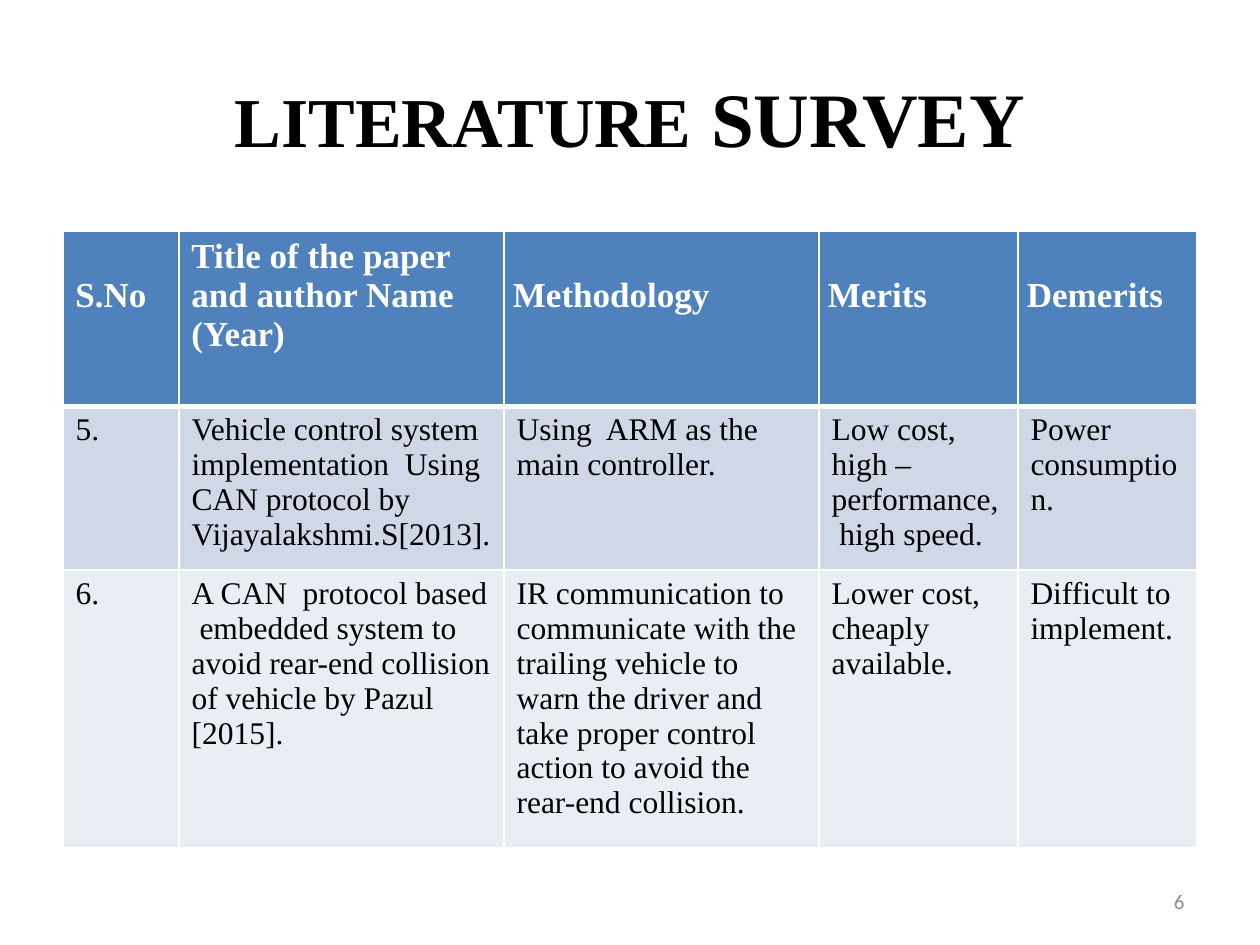
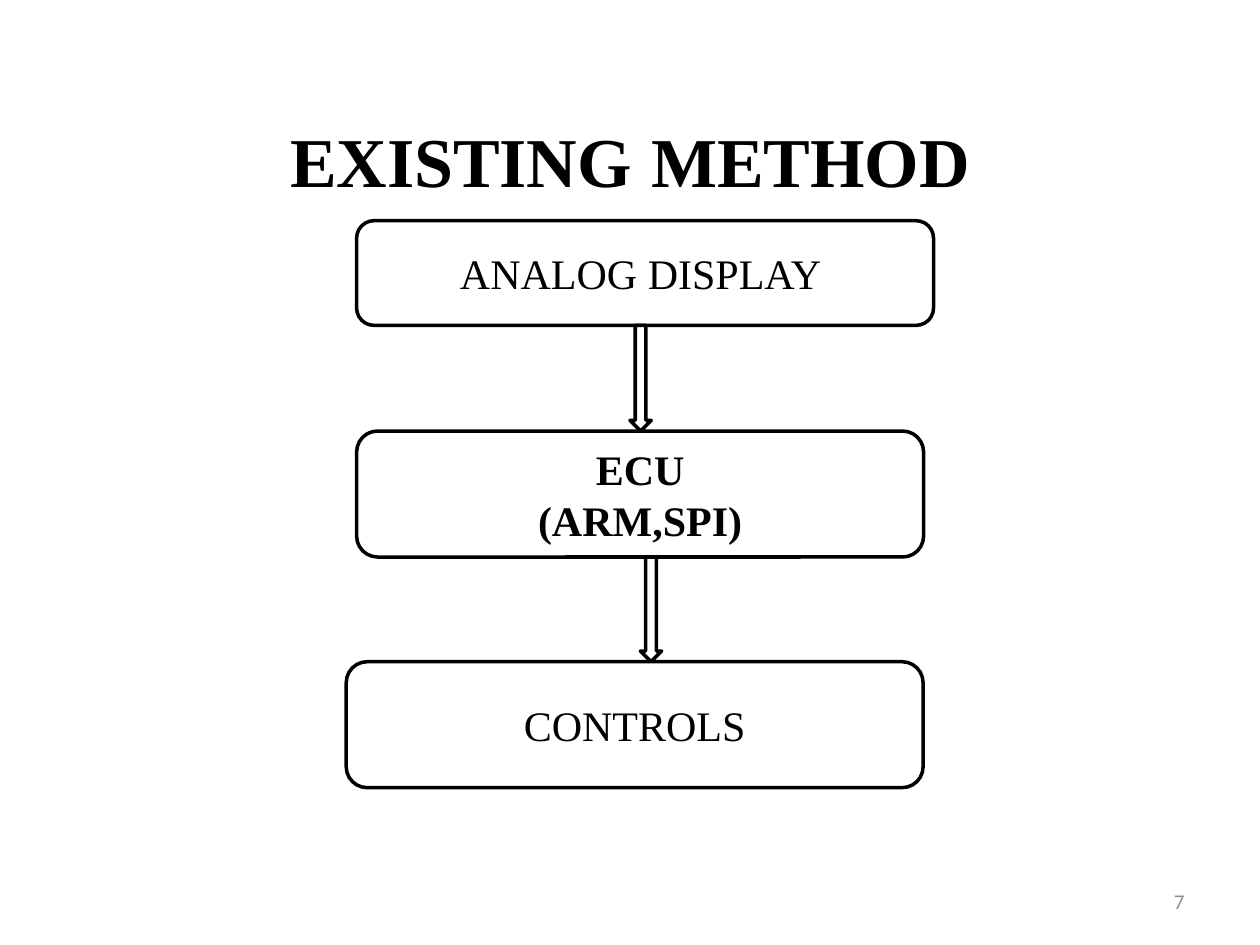
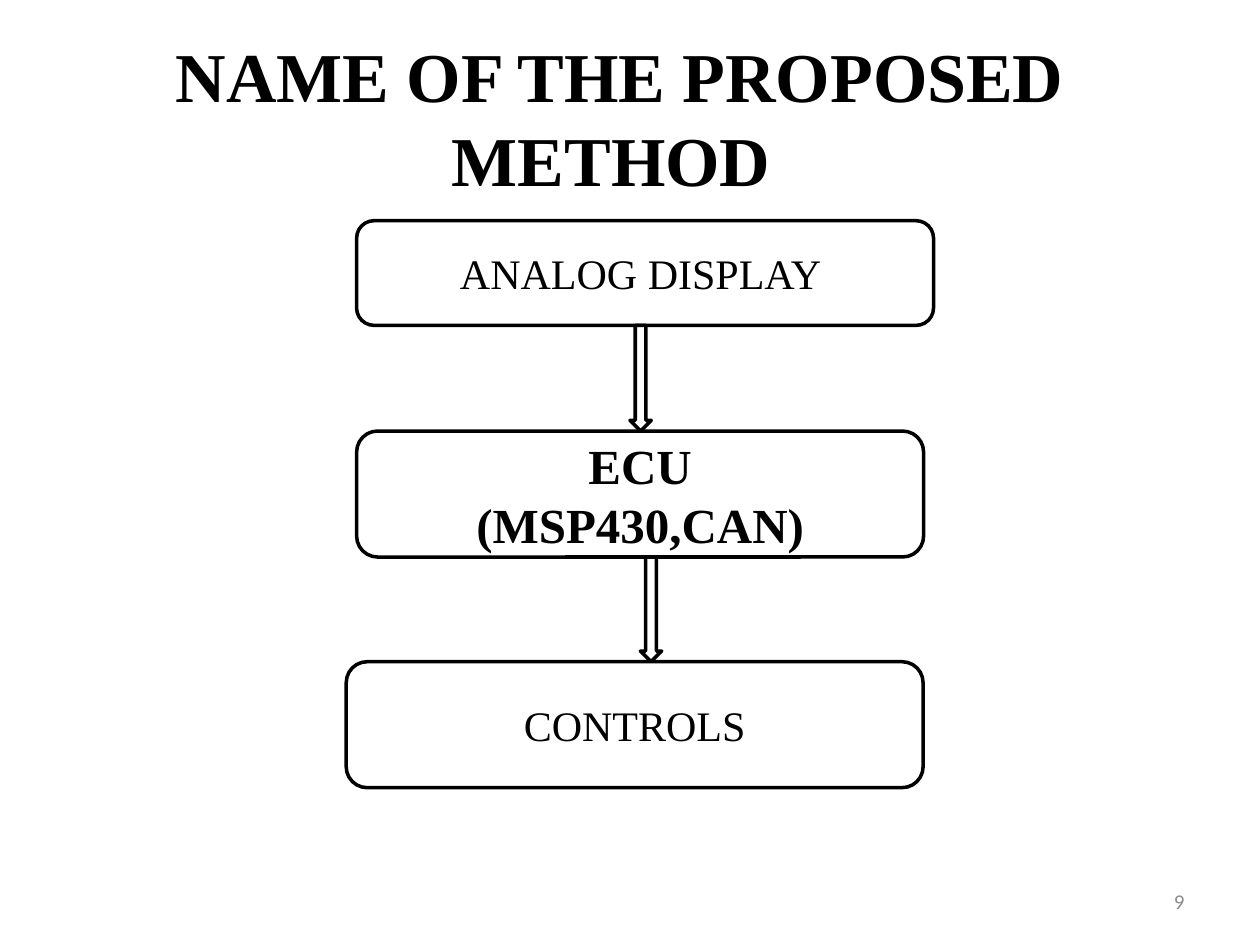
from dataclasses import dataclass
from itertools import pairwise

from lxml.etree import SubElement
from pptx import Presentation
from pptx.dml.color import RGBColor
from pptx.enum.shapes import MSO_SHAPE as Preset
from pptx.enum.text import MSO_ANCHOR as Anchor, PP_ALIGN as Align
from pptx.oxml.ns import qn
from pptx.util import Cm, Pt


@dataclass(frozen=True)
class Theme:
    serif: str = "Times New Roman"
    sans: str = "Calibri"
    ink: str = "000000"
    paper: str = "FFFFFF"
    muted: str = "8C8C8C"
    header: str = "4F81BD"
    bands: tuple = ("D0D8E8", "E9EDF4")
    title: int = 40
    title_large: int = 44
    box: int = 24
    box_large: int = 28
    table_head: int = 20
    table_body: int = 18
    number: int = 12
    outline: int = 2


THEME = Theme()

COLUMN_WIDTHS = (2.34, 6.55, 6.35, 4.01, 3.61)
ROW_HEIGHTS = (3.53, 3.2, 5.41)
HEAD_TOP_MARGINS = (0.91, 0.13, 0.91, 0.91, 0.91)
HEAD_LEFT_MARGINS = (0.25, 0.25, 0.18, 0.18, 0.18)
SURVEY = (
    ("S.No", "Title of the paper and author Name (Year)", "Methodology", "Merits", "Demerits"),
    (
        "5.",
        "Vehicle control system implementation  Using  CAN protocol by Vijayalakshmi.S[2013].",
        "Using  ARM as the main controller.",
        "Low cost, high –performance,  high speed.",
        "Power consumption.",
    ),
    (
        "6.",
        "A CAN  protocol based  embedded system to avoid rear-end collision of vehicle by Pazul [2015].",
        "IR communication to communicate with the trailing vehicle to warn the driver and take "
        "proper control action to avoid the rear-end collision.",
        "Lower cost, cheaply available.",
        "Difficult to implement.",
    ),
)

FLOW_BOXES = (
    (7.19, 4.45, 11.63, 2.11),
    (7.19, 8.69, 11.43, 2.54),
    (6.98, 13.34, 11.63, 2.54),
)
ARROW_LEFTS = (12.7, 12.91)
ARROW_WIDTH = 0.43


def format_run(run, size, color=THEME.ink, bold=False, font=THEME.serif):
    """Set the typeface, size, colour and weight of a run."""
    run.font.name = font
    run.font.size = Pt(size)
    run.font.bold = bold
    run.font.color.rgb = RGBColor.from_string(color)


def format_text(text_frame, size, align, **style):
    """Align every paragraph and format its runs alike."""
    text_frame.word_wrap = True
    for paragraph in text_frame.paragraphs:
        paragraph.alignment = align
        for run in paragraph.runs:
            format_run(run, size, **style)


def add_text_box(slide, box, anchor=Anchor.MIDDLE):
    """Add a wrapping text box and return its text frame."""
    text_frame = slide.shapes.add_textbox(*map(Cm, box)).text_frame
    text_frame.word_wrap = True
    text_frame.vertical_anchor = anchor
    return text_frame


def add_title(slide, parts, left=1.27, width=22.86, height=3.18, anchor=Anchor.MIDDLE):
    """Add the bold centred title from (text, size) parts."""
    text_frame = add_text_box(slide, (left, 0.76, width, height), anchor)
    paragraph = text_frame.paragraphs[0]
    paragraph.alignment = Align.CENTER
    for text, size in parts:
        run = paragraph.add_run()
        run.text = text
        format_run(run, size, bold=True)


def add_slide_number(slide, number):
    """Add the grey slide number at the lower right."""
    text_frame = add_text_box(slide, (18.21, 17.65, 5.92, 1.02))
    text_frame.text = str(number)
    format_text(text_frame, THEME.number, Align.RIGHT, color=THEME.muted, font=THEME.sans)


def set_borders(cell, bottom):
    """Draw white borders round a cell, with a given bottom width."""
    properties = cell._tc.get_or_add_tcPr()
    for side, width in (("L", 1), ("R", 1), ("T", 1), ("B", bottom)):
        line = SubElement(properties, qn(f"a:ln{side}"), w=str(Pt(width)))
        fill = SubElement(line, qn("a:solidFill"))
        SubElement(fill, qn("a:srgbClr"), val=THEME.paper)


def fill_cell(cell, text, size, background, bottom=1, **style):
    """Write one table cell with its borders and fill."""
    set_borders(cell, bottom)
    cell.fill.solid()
    cell.fill.fore_color.rgb = RGBColor.from_string(background)
    cell.text_frame.text = text
    format_text(cell.text_frame, size, Align.LEFT, **style)


def add_survey_table(slide):
    """Add the table of surveyed papers."""
    size = sum(COLUMN_WIDTHS), sum(ROW_HEIGHTS)
    frame = slide.shapes.add_table(len(SURVEY), len(COLUMN_WIDTHS), *map(Cm, (1.27, 4.66, *size)))
    table = frame.table
    for column, width in zip(table.columns, COLUMN_WIDTHS):
        column.width = Cm(width)
    for row, height in zip(table.rows, ROW_HEIGHTS):
        row.height = Cm(height)
    for index, heading in enumerate(SURVEY[0]):
        cell = table.cell(0, index)
        fill_cell(cell, heading, THEME.table_head, THEME.header, 3, color=THEME.paper, bold=True)
        cell.margin_top = Cm(HEAD_TOP_MARGINS[index])
        cell.margin_left = cell.margin_right = Cm(HEAD_LEFT_MARGINS[index])
    for row_index, (texts, band) in enumerate(zip(SURVEY[1:], THEME.bands), start=1):
        for index, text in enumerate(texts):
            fill_cell(table.cell(row_index, index), text, THEME.table_body, band)


def add_outlined_shape(slide, preset, box):
    """Add a white shape with a black outline."""
    shape = slide.shapes.add_shape(preset, *map(Cm, box))
    shape.shadow.inherit = False
    shape.fill.solid()
    shape.fill.fore_color.rgb = RGBColor.from_string(THEME.paper)
    shape.line.color.rgb = RGBColor.from_string(THEME.ink)
    shape.line.width = Pt(THEME.outline)
    return shape


def add_flow_box(slide, box, text, size=THEME.box, bold=False):
    """Add one labelled step of the flow."""
    text_frame = add_outlined_shape(slide, Preset.ROUNDED_RECTANGLE, box).text_frame
    text_frame.vertical_anchor = Anchor.MIDDLE
    text_frame.text = text
    format_text(text_frame, size, Align.CENTER, bold=bold)
    return text_frame


def add_flow(slide, controller, controller_size):
    """Add the display, controller and controls steps joined by arrows."""
    display_box, controller_box, controls_box = FLOW_BOXES
    display = add_flow_box(slide, display_box, "ANALOG DISPLAY ")
    display.paragraphs[0].space_before = Pt(5)
    add_flow_box(slide, controller_box, f"ECU\n{controller}", controller_size, bold=True)
    add_flow_box(slide, controls_box, "CONTROLS")
    for left, (upper, lower) in zip(ARROW_LEFTS, pairwise(FLOW_BOXES)):
        top = upper[1] + upper[3]
        add_outlined_shape(slide, Preset.DOWN_ARROW, (left, top, ARROW_WIDTH, lower[1] - top))


def add_slide(presentation, number):
    """Add a blank slide carrying its number."""
    slide = presentation.slides.add_slide(presentation.slide_layouts[6])
    add_slide_number(slide, number)
    return slide


def main():
    """Build the three slides and save them."""
    presentation = Presentation()
    presentation.slide_width = Cm(25.4)
    presentation.slide_height = Cm(19.05)

    survey = add_slide(presentation, 6)
    add_title(survey, (("LITERATURE", THEME.title), (" SURVEY", THEME.title_large)))
    add_survey_table(survey)

    existing = add_slide(presentation, 7)
    existing_title = (("EXISTING", THEME.title), (" ", THEME.title_large), ("METHOD", THEME.title))
    add_title(existing, existing_title, height=3.45, anchor=Anchor.BOTTOM)
    add_flow(existing, "(ARM,SPI)", THEME.box)

    proposed = add_slide(presentation, 9)
    proposed_title = (("NAME OF THE PROPOSED METHOD ", THEME.title),)
    add_title(proposed, proposed_title, left=0.43, width=24.13)
    add_flow(proposed, "(MSP430,CAN)", THEME.box_large)

    presentation.save("out.pptx")


if __name__ == "__main__":
    main()
